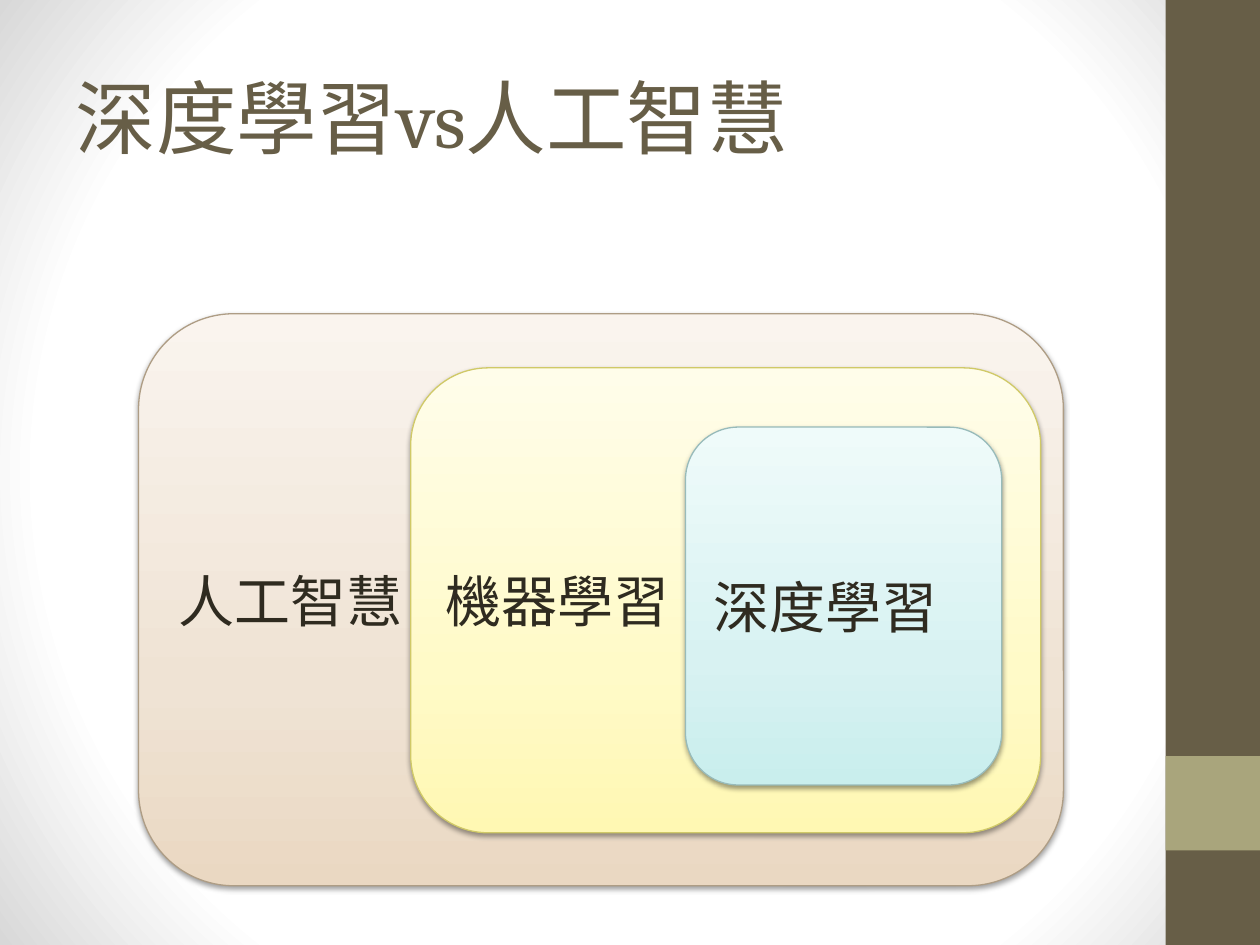
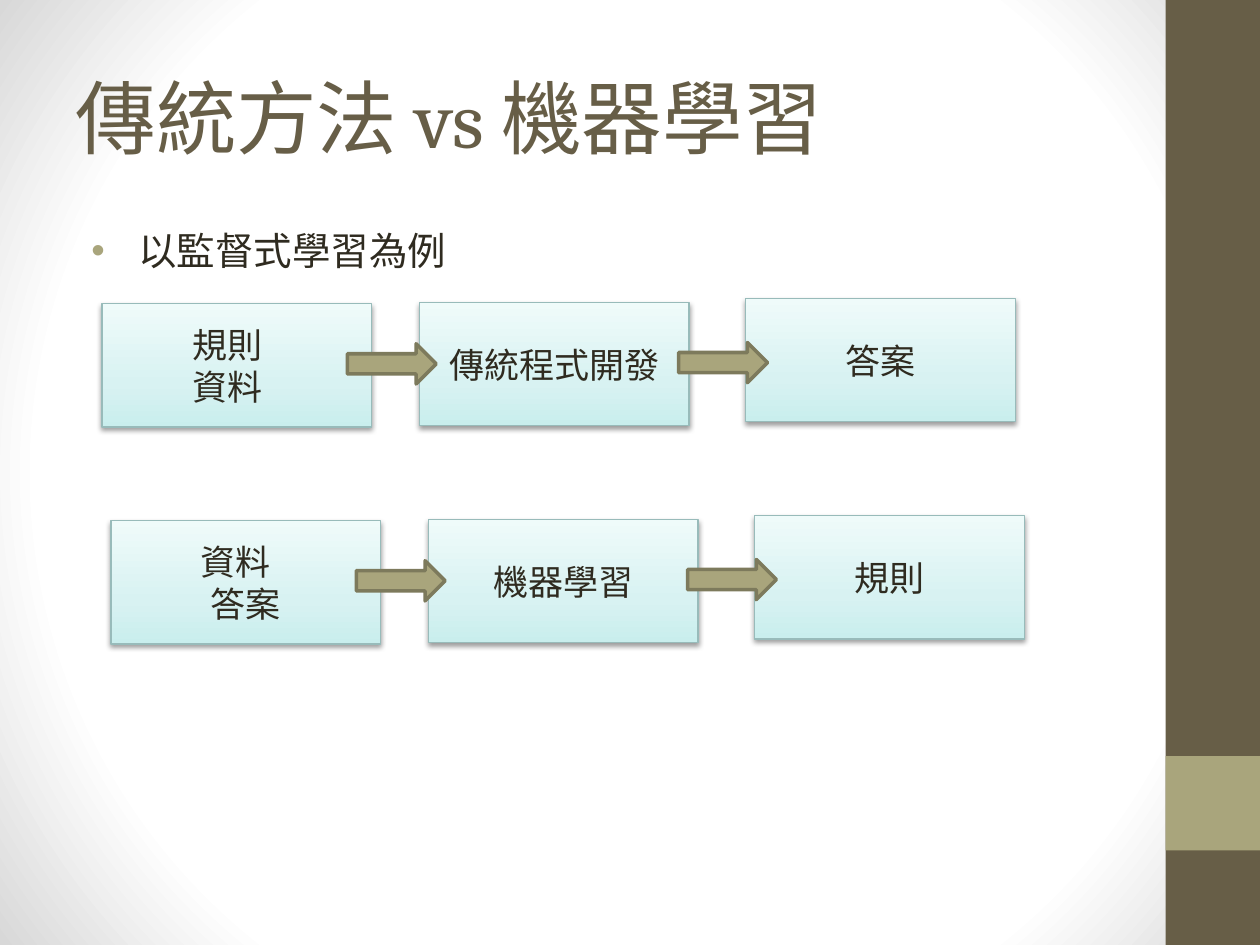
from dataclasses import dataclass

from lxml import etree
from pptx import Presentation
from pptx.dml.color import RGBColor
from pptx.enum.shapes import MSO_SHAPE
from pptx.enum.text import MSO_ANCHOR, MSO_AUTO_SIZE, PP_ALIGN
from pptx.oxml.ns import qn
from pptx.util import Pt

RECTANGLE = MSO_SHAPE.RECTANGLE
ROUNDED = MSO_SHAPE.ROUNDED_RECTANGLE
ARROW = MSO_SHAPE.RIGHT_ARROW
LEFT, CENTER = PP_ALIGN.LEFT, PP_ALIGN.CENTER
TOP, MIDDLE = MSO_ANCHOR.TOP, MSO_ANCHOR.MIDDLE


@dataclass(frozen=True)
class Theme:
    brown: str = "675E47"
    olive: str = "A9A57C"
    olive_line: str = "7D7A5C"
    ink: str = "2F2B20"
    # Gradient colours from bottom to top, then the outline
    sand: tuple = ("EAD8C2", "EFE3D4", "FAF4EE", "AE9D85")
    yellow: tuple = ("FFF8B3", "FFFAC8", "FFFDEA", "D0C967")
    aqua: tuple = ("C9EEED", "D8F2F2", "EFFBFA", "98BBBA")
    backdrop: tuple = ((0, "FFFFFF"), (75, "FFFFFF"), (100, "D8D8D8"))
    title_font: str = "Cambria"
    body_font: str = "Calibri"
    label_font: str = "Arial"
    title_size: int = 46
    body_size: int = 22
    nested_size: int = 32
    step_size: int = 20


THEME = Theme()
STEP_SIZE = (154, 70.5)
STEP_ORIGINS = ((58.3, 173.5), (239.8, 172.8), (426.2, 170.6))
ARROW_SIZE = (50.8, 23)
ARROW_ORIGINS = ((198.5, 196.4), (387.8, 195.7))
ROW_SHIFT = (5.1, 124)
LINE_SHIFT = 11


def child(parent, tag, **attributes):
    """Append a DrawingML element with the given attributes."""
    node = etree.SubElement(parent, qn(tag))
    for name, value in attributes.items():
        node.set(name, str(value))
    return node


def color_node(parent, color):
    return child(parent, "a:srgbClr", val=color)


def set_gradient(fill, element, stops, angle=None):
    """Use a linear gradient when an angle is given, else a circular one."""
    fill.gradient()
    gradient = element.find(".//" + qn("a:gradFill"))
    for node in list(gradient):
        gradient.remove(node)
    stop_list = child(gradient, "a:gsLst")
    for position, color in stops:
        color_node(child(stop_list, "a:gs", pos=position * 1000), color)
    if angle is None:
        circle = child(gradient, "a:path", path="circle")
        child(circle, "a:fillToRect", l=0, t=0, r=0, b=0)
    else:
        child(gradient, "a:lin", ang=angle * 60000, scaled=1)


def place(shape, left, top, width, height):
    shape.left, shape.top = Pt(left), Pt(top)
    shape.width, shape.height = Pt(width), Pt(height)


def write(shape, text, font, size, color, align=LEFT, anchor=MIDDLE):
    frame = shape.text_frame
    frame.text = text
    frame.word_wrap = True
    frame.auto_size = MSO_AUTO_SIZE.NONE
    frame.vertical_anchor = anchor
    for para in frame.paragraphs:
        para.alignment = align
        for span in para.runs:
            span.font.name = font
            span.font.size = Pt(size)
            span.font.color.rgb = RGBColor.from_string(color)


def add_flat(page, kind, box, fill, line=None):
    """Add a plain shape, outlined by a 2 pt line if a colour is given."""
    shape = page.shapes.add_shape(kind, *map(Pt, box))
    shape.shadow.inherit = False
    shape.fill.solid()
    shape.fill.fore_color.rgb = RGBColor.from_string(fill)
    if line:
        shape.line.color.rgb = RGBColor.from_string(line)
        shape.line.width = Pt(2)
    else:
        shape.line.fill.background()
    return shape


def add_panel(page, kind, box, colors, text, size, align):
    """Add a labelled gradient panel with a soft shadow."""
    *shades, outline = colors
    panel = page.shapes.add_shape(kind, *map(Pt, box))
    set_gradient(panel.fill, panel.element, zip((0, 35, 100), shades), 270)
    panel.line.color.rgb = RGBColor.from_string(outline)
    panel.line.width = Pt(0.75)
    panel.shadow.inherit = False
    effects = panel.element.spPr.find(qn("a:effectLst"))
    shadow = child(effects, "a:outerShdw", blurRad=Pt(3.1), dist=Pt(1.6),
                   dir=90 * 60000, rotWithShape=0)
    child(color_node(shadow, "000000"), "a:alpha", val=38000)
    write(panel, text, THEME.label_font, size, THEME.ink, align)
    return panel


def add_page(deck, layout, title):
    """Add a page with the side bands and its title."""
    page = deck.slides.add_slide(deck.slide_layouts.get_by_name(layout))
    add_flat(page, RECTANGLE, (666, 0, 54, 540), THEME.brown)
    add_flat(page, RECTANGLE, (666, 432, 54, 54), THEME.olive)
    heading = page.shapes.title
    place(heading, 36, 21.6, 600, 90)
    write(heading, title, THEME.title_font, THEME.title_size, THEME.brown)
    return page


def fill_body(page, text):
    body = page.placeholders[1]
    place(body, 36, 126, 600, 378)
    write(body, text, THEME.body_font, THEME.body_size, THEME.ink, anchor=TOP)
    for para in body.text_frame.paragraphs:
        para.space_before = Pt(3.6)
        properties = para._p.get_or_add_pPr()
        properties.set("marL", str(Pt(36)))
        properties.set("indent", str(Pt(-27)))
        color_node(child(properties, "a:buClr"), THEME.olive)
        child(properties, "a:buFont", typeface="Arial")
        child(properties, "a:buChar", char="•")


def add_flow(page, labels, row):
    """Add one row of three steps joined by block arrows."""
    def shifted(origin, size):
        return (*(start + row * shift
                  for start, shift in zip(origin, ROW_SHIFT)), *size)

    steps = [add_panel(page, RECTANGLE, shifted(origin, STEP_SIZE), THEME.aqua,
                       label, THEME.step_size, CENTER)
             for origin, label in zip(STEP_ORIGINS, labels)]
    for origin in ARROW_ORIGINS:
        add_flat(page, ARROW, shifted(origin, ARROW_SIZE), THEME.olive,
                 THEME.olive_line)
    # The two-line input sits slightly left of centre
    steps[0].text_frame.margin_right = Pt(7.2 + LINE_SHIFT)
    return steps


def build_nested_fields(deck):
    page = add_page(deck, "Title Only", "深度學習vs人工智慧")
    fields = (
        ("人工智慧", (79.2, 179.3, 528.5, 326.9), THEME.sand),
        ("機器學習", (234.7, 210.2, 360, 265.7), THEME.yellow),
        ("深度學習", (391.7, 244.1, 180.7, 204.5), THEME.aqua),
    )
    for name, box, colors in fields:
        add_panel(page, ROUNDED, box, colors, name, THEME.nested_size, LEFT)


def build_method_flows(deck):
    page = add_page(deck, "Title and Content", "傳統方法 vs 機器學習")
    fill_body(page, "以監督式學習為例")
    add_flow(page, ("規則\n資料", "傳統程式開發", "答案"), 0)
    learning = add_flow(page, ("資料\n答案", "機器學習", "規則"), 1)
    # The second input line is centred on the whole step
    answer = learning[0].text_frame.paragraphs[1]
    answer._p.get_or_add_pPr().set("marL", str(Pt(LINE_SHIFT)))


def main():
    deck = Presentation()
    deck.slide_width, deck.slide_height = Pt(720), Pt(540)
    master = deck.slide_master
    set_gradient(master.background.fill, master.element, THEME.backdrop)
    build_nested_fields(deck)
    build_method_flows(deck)
    deck.save("out.pptx")


if __name__ == "__main__":
    main()
